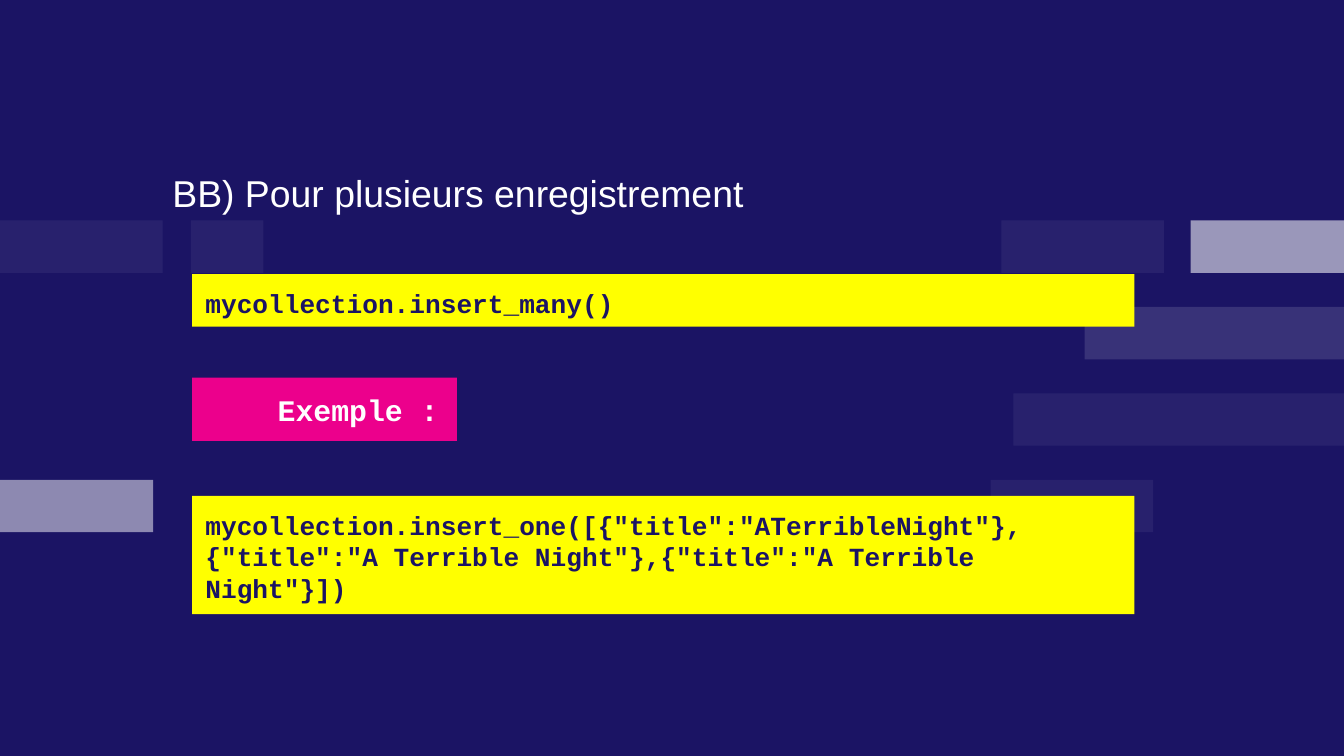
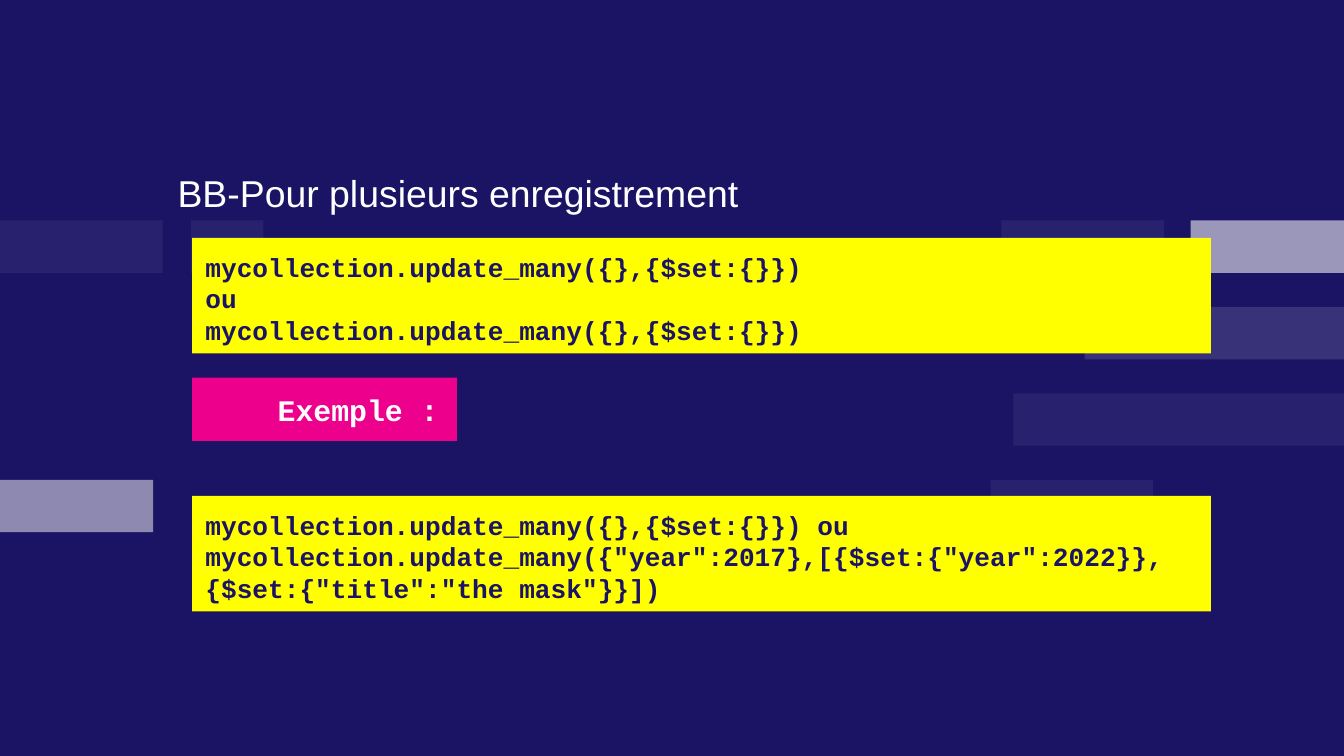
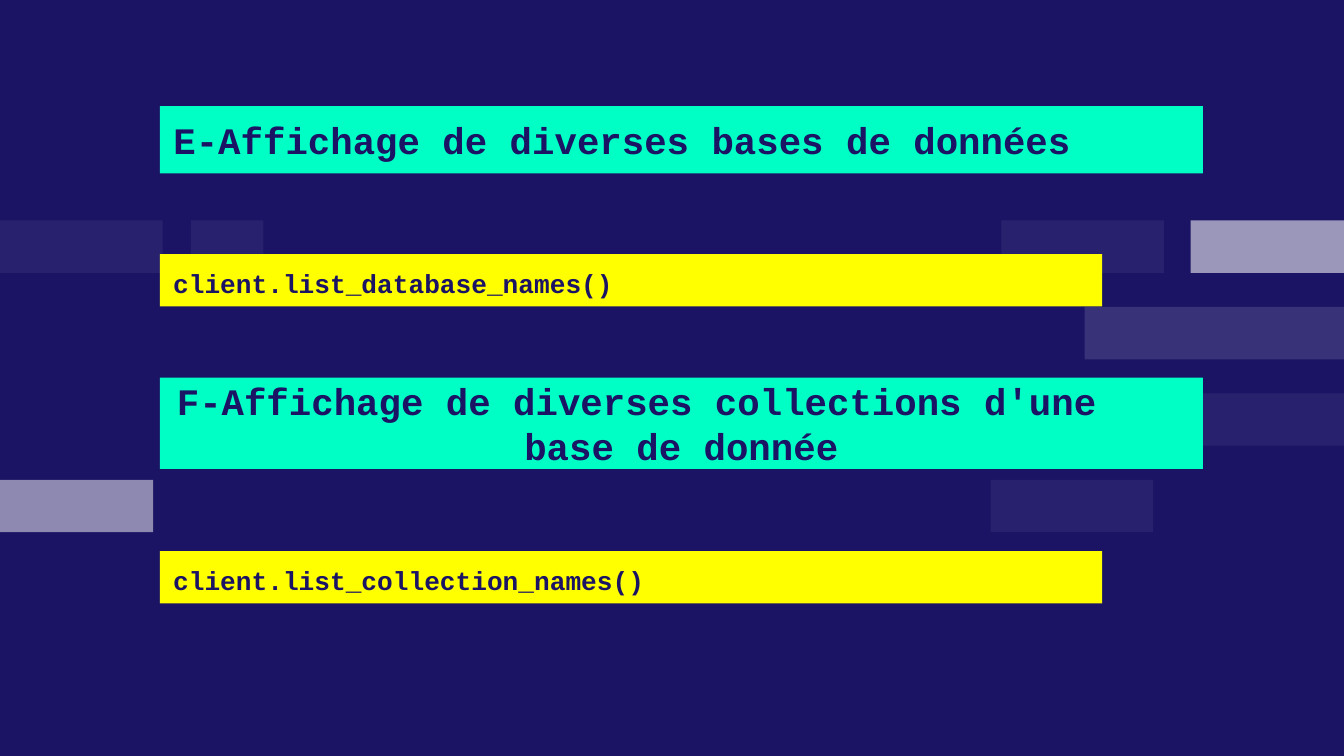
from lxml.etree import SubElement
from pptx import Presentation
from pptx.dml.color import RGBColor
from pptx.enum.shapes import MSO_SHAPE
from pptx.enum.text import MSO_ANCHOR, MSO_AUTO_SIZE, PP_ALIGN
from pptx.oxml.ns import qn
from pptx.util import Inches, Pt

COLORS = {
    "navy": "1B1464",
    "white": "FFFFFF",
    "yellow": "FFFF00",
    "pink": "EC008C",
    "mint": "00FFC5",
}
MONO, SANS = "Courier New", "Arial"

# Background bands: left, row, width, opacity in percent
BANDS = [
    (8.07, 1, 1.93, 13), (7.45, 0, 1.21, 6), (7.54, 2, 2.46, 6),
    (8.86, 0, 1.14, 56), (7.37, 3, 1.21, 6), (0, 3, 1.14, 50),
    (0, 0, 1.21, 6), (1.42, 0, 0.54, 6),
]
BAND_TOP, BAND_LAST, BAND_HIGH = 1.64, 3.57, 0.39
BAND_STEP = (BAND_LAST - BAND_TOP) / 3


def color(name):
    return RGBColor.from_string(COLORS[name])


def write(shape, text, size=14, font=MONO, ink="navy", bold=True,
          align=PP_ALIGN.LEFT, anchor=MSO_ANCHOR.TOP, base=0.1,
          left=0, first=0, right=0):
    """Fill a shape with text, one paragraph for each line."""
    frame = shape.text_frame
    frame.text = text
    frame.word_wrap = True
    frame.auto_size = MSO_AUTO_SIZE.NONE
    frame.vertical_anchor = anchor
    frame.margin_left = frame.margin_right = frame.margin_top = Inches(0.1)
    frame.margin_bottom = Inches(base)
    for para in frame.paragraphs:
        para.alignment = align
        props = para._p.get_or_add_pPr()
        for key, value in (("marL", left), ("indent", first), ("marR", right)):
            props.set(key, str(Inches(value)))
        for run in para.runs:
            run.font.name = font
            run.font.size = Pt(size)
            run.font.bold = bold
            run.font.color.rgb = color(ink)


class Deck:
    def __init__(self):
        self.prs = Presentation()
        self.prs.slide_width = Inches(10)
        self.prs.slide_height = Inches(10) * 9 // 16
        self.slide = None
        self.master = self.prs.slide_master
        fill = self.master.background.fill
        fill.solid()
        fill.fore_color.rgb = color("navy")

    def add(self):
        self.slide = self.prs.slides.add_slide(self.prs.slide_layouts[5])

    def rect(self, box, fill):
        shape = self.slide.shapes.add_shape(
            MSO_SHAPE.RECTANGLE, *map(Inches, box))
        shape.shadow.inherit = False
        shape.fill.solid()
        shape.fill.fore_color.rgb = color(fill)
        shape.line.fill.background()
        return shape

    def bands(self):
        """Draw the bands, then move them to the back of the master."""
        tree = self.master.shapes._spTree
        for num, (left, row, width, alpha) in enumerate(BANDS):
            top = BAND_TOP + row * BAND_STEP
            band = self.rect((left, top, width, BAND_HIGH), "white")
            node = band._element
            tint = node.spPr.find(qn("a:solidFill"))[0]
            SubElement(tint, qn("a:alpha"), val=str(alpha * 1000))
            node.nvSpPr.cNvPr.set("id", str(100 + num))
            tree.insert(2 + num, node)

    def title(self, text, box, fill, **style):
        shape = self.slide.shapes.title
        shape.left, shape.top, shape.width, shape.height = map(Inches, box)
        shape.fill.solid()
        shape.fill.fore_color.rgb = color(fill)
        write(shape, text, anchor=MSO_ANCHOR.MIDDLE, **style)

    def code(self, text, box):
        write(self.rect(box, "yellow"), text)

    def panel(self, text, box, **style):
        write(self.rect(box, "mint"), text, size=20,
              anchor=MSO_ANCHOR.MIDDLE, **style)

    def lead(self, text):
        box = self.slide.shapes.add_textbox(
            *map(Inches, (0.73, 1.13, 5.36, 0.47)))
        write(box, text, size=20, font=SANS, ink="white", bold=False,
              align=PP_ALIGN.CENTER, anchor=MSO_ANCHOR.BOTTOM, base=0)

    def sample(self, lead, call, call_box, demo, demo_box):
        """Slide with a lead line, a call and its example."""
        self.add()
        self.code(demo, demo_box)
        self.title("Exemple :", (1.43, 2.81, 1.97, 0.47), "pink", size=16,
                   ink="white", align=PP_ALIGN.CENTER, left=0.5)
        self.code(call, call_box)
        self.lead(lead)


def main():
    deck = Deck()

    # Slide 1: insert many records
    deck.sample(
        "BB) Pour plusieurs enregistrement",
        "mycollection.insert_many()", (1.43, 2.04, 7.01, 0.39),
        'mycollection.insert_one([{"title":"ATerribleNight"},\n'
        '{"title":"A Terrible Night"},{"title":"A Terrible Night"}])',
        (1.43, 3.69, 7.01, 0.88))
    deck.bands()

    # Slide 2: update many records
    update = "mycollection.update_many({},{$set:{}})"
    deck.sample(
        "BB-Pour plusieurs enregistrement",
        f"{update}\nou\n{update}", (1.43, 1.77, 7.58, 0.86),
        update + ' ou mycollection.update_many({"year":2017},'
        '[{$set:{"year":2022}},{$set:{"title":"the mask"}}])',
        (1.43, 3.69, 7.58, 0.86))

    # Slide 3: list databases and collections
    deck.add()
    deck.title("E-Affichage de diverses bases de données",
               (1.19, 0.79, 7.76, 0.5), "mint", size=20)
    deck.code("client.list_collection_names()", (1.19, 4.1, 7.01, 0.39))
    deck.code("client.list_database_names()", (1.19, 1.89, 7.01, 0.39))
    deck.panel("F-Affichage de diverses collections d'une base de donnée",
               (1.19, 2.81, 7.76, 0.68), align=PP_ALIGN.CENTER,
               left=0.66, first=-0.66, right=0.66)

    deck.prs.save("out.pptx")


if __name__ == "__main__":
    main()
